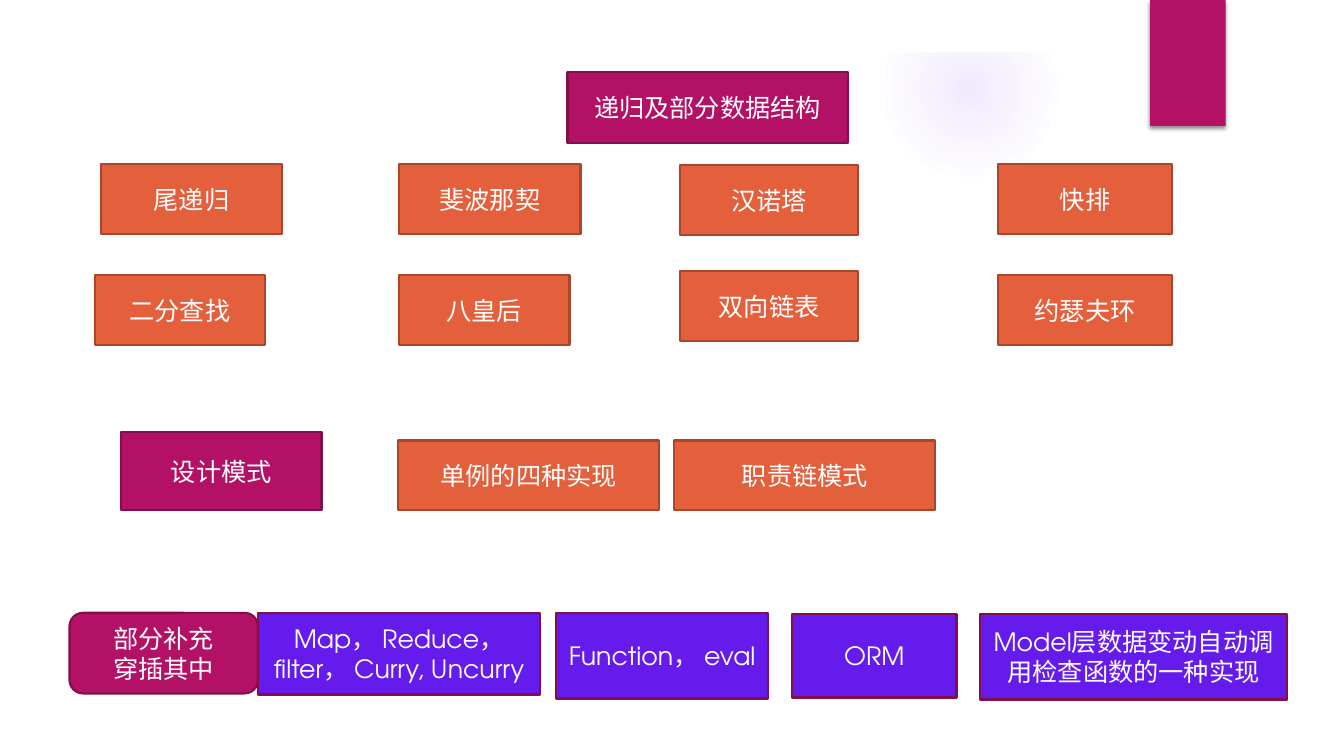
from pptx import Presentation
from pptx.dml.color import RGBColor as RGB
from pptx.enum.shapes import MSO_SHAPE as Kind
from pptx.enum.text import MSO_ANCHOR as Anchor, PP_ALIGN as Align
from pptx.oxml import parse_xml as to_xml
from pptx.oxml.ns import nsdecls, qn
from pptx.util import Pt

PX = 9144
WHITE = RGB(0xFF, 0xFF, 0xFF)
PINK = RGB(0xB3, 0x11, 0x66)
PLUM = RGB(0x84, 0x0D, 0x4B)
CORAL = RGB(0xE4, 0x5F, 0x3C)
RUST = RGB(0xA9, 0x46, 0x2C)
VIOLET = RGB(0x65, 0x1B, 0xEB)
LILAC = RGB(0x9B, 0x6B, 0xF2)

TOPIC = (PINK, PLUM)
ITEM = (CORAL, RUST)
EXTRA = (VIOLET, PLUM)


class Board:
    """Draws styled elements on one slide, with lengths in px."""

    font = {"name": "TeX Gyre Adventor", "size": Pt(18)}
    frame = {"word_wrap": True, "vertical_anchor": Anchor.MIDDLE}

    def __init__(self, slide):
        self.slide = slide

    def shape(self, box, kind=Kind.RECTANGLE, fill=None, line=None):
        shape = self.slide.shapes.add_shape(kind, *(n * PX for n in box))
        shape.shadow.inherit = False
        if fill is None:
            shape.fill.background()
        else:
            shape.fill.solid()
            shape.fill.fore_color.rgb = fill
        if line is None:
            shape.line.fill.background()
        else:
            shape.line.color.rgb = line
            shape.line.width = Pt(1.5)
        return shape

    def label(self, box, text, style, kind=Kind.RECTANGLE):
        frame = self.shape(box, kind, *style).text_frame
        for key, value in self.frame.items():
            setattr(frame, key, value)
        frame.text = text
        for para in frame.paragraphs:
            para.alignment = Align.CENTER
            for run in para.runs:
                for key, value in self.font.items():
                    setattr(run.font, key, value)
                run.font.color.rgb = WHITE

    def glow(self, box, color, stops):
        props = self.shape(box, Kind.OVAL)._element.spPr
        marks = "".join(
            f'<a:gs pos="{at * 1000}"><a:srgbClr val="{color}">'
            f'<a:alpha val="{alpha * 1000}"/></a:srgbClr></a:gs>'
            for at, alpha in stops)
        grad = to_xml(
            f'<a:gradFill {nsdecls("a")}><a:gsLst>{marks}</a:gsLst>'
            '<a:path path="circle"><a:fillToRect l="50000" t="50000" '
            'r="50000" b="50000"/></a:path></a:gradFill>')
        props.replace(props.find(qn("a:noFill")), grad)

    def ribbon(self, box, color):
        props = self.shape(box, fill=color)._element.spPr
        props.find(qn("a:effectLst")).append(to_xml(
            f'<a:outerShdw {nsdecls("a")} blurRad="{Pt(3)}" dist="{Pt(2)}" '
            'dir="5400000" rotWithShape="0"><a:srgbClr val="000000">'
            '<a:alpha val="45000"/></a:srgbClr></a:outerShdw>'))


def main():
    deck = Presentation()
    deck.slide_width, deck.slide_height = 12192000, 750 * PX
    board = Board(deck.slides.add_slide(deck.slide_layouts[6]))

    board.glow((875, 1, 175, 175), LILAC, [(0, 14), (36, 7), (73, 0)])
    board.shape((0, 0, 1333, 52), fill=WHITE)
    board.ribbon((1141, 0, 75, 125), PINK)

    board.label((563, 71, 278, 71), "递归及部分数据结构", TOPIC)
    board.label((120, 429, 199, 77), "设计模式", TOPIC)

    items = [
        (100, 163, 180, "尾递归"),
        (396, 163, 180, "斐波那契"),
        (675, 164, 176, "汉诺塔"),
        (990, 163, 173, "快排"),
        (94, 273, 169, "二分查找"),
        (396, 273, 169, "八皇后"),
        (675, 269, 176, "双向链表"),
        (990, 273, 173, "约瑟夫环"),
        (395, 437, 259, "单例的四种实现"),
        (669, 437, 259, "职责链模式"),
    ]
    for left, top, width, text in items:
        board.label((left, top, width, 69), text, ITEM)

    extras = [
        ((256, 608, 280, 81), "Map， Reduce， filter， Curry, Uncurry"),
        ((552, 608, 210, 85), "Function， eval"),
        ((786, 609, 163, 83), "ORM"),
        ((972, 609, 305, 85), "Model层数据变动自动调用检查函数的一种实现"),
    ]
    for box, text in extras:
        board.label(box, text, EXTRA)
    board.label((69, 608, 187, 80), "部分补充\n穿插其中", TOPIC,
                Kind.ROUNDED_RECTANGLE)

    deck.save("out.pptx")


if __name__ == "__main__":
    main()
